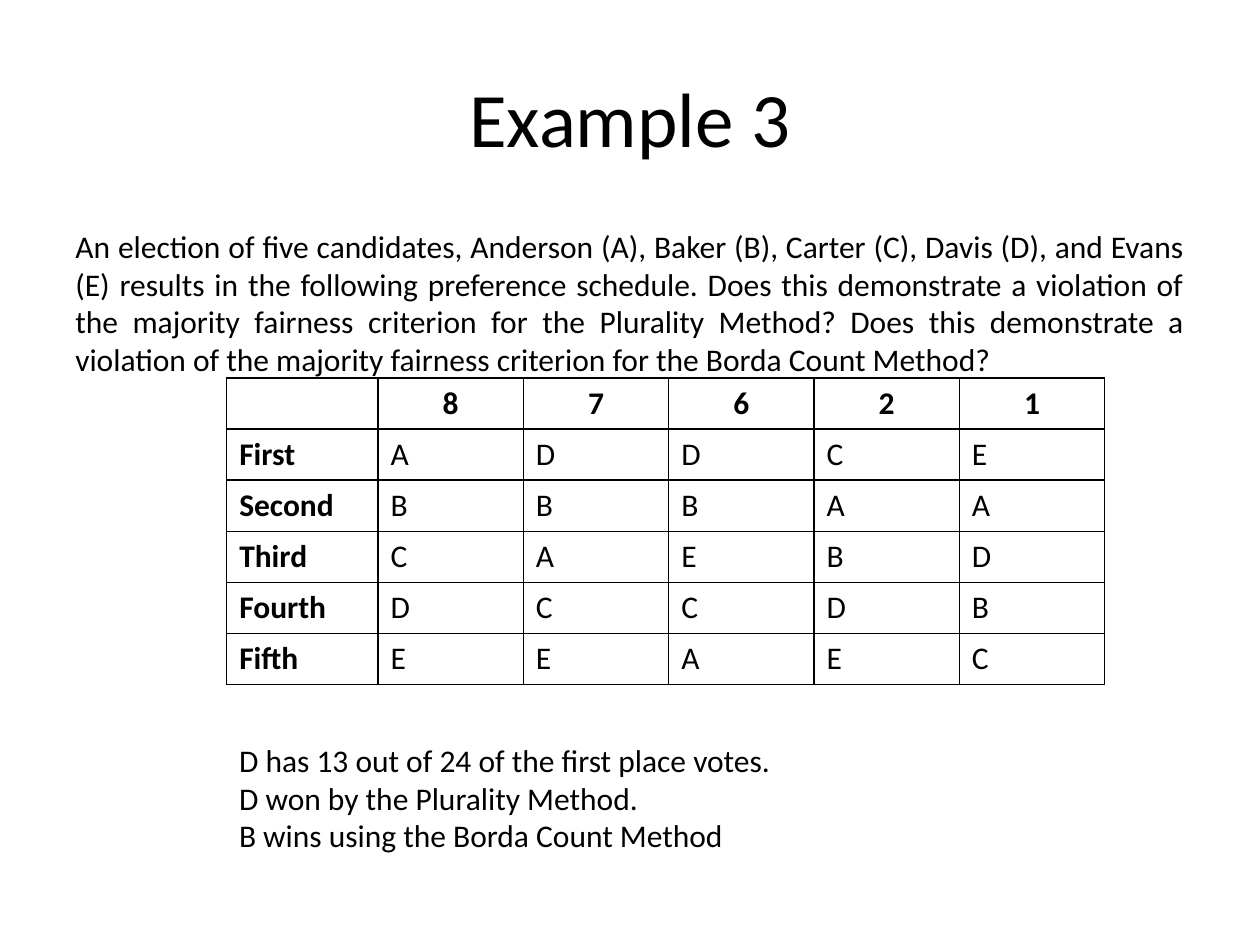
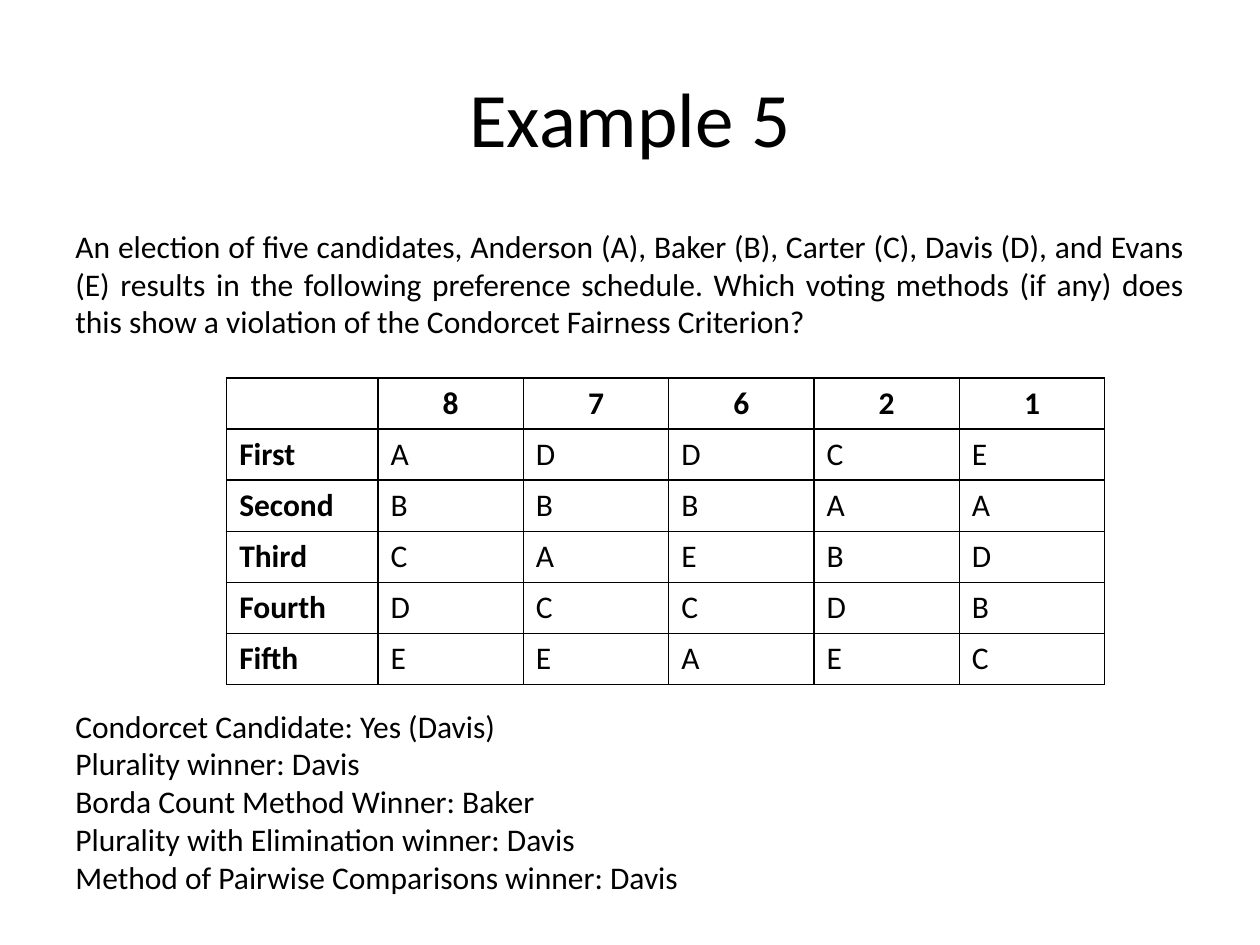
import lxml.etree
import pptx
import pptx.dml.color
import pptx.enum.text
import pptx.oxml.ns
import pptx.util

Cm = pptx.util.Cm
Align = pptx.enum.text.PP_ALIGN
Anchor = pptx.enum.text.MSO_ANCHOR

MARGIN = 1.27
CONTENT_WIDTH = 22.86
BOX_HEIGHT = 3.18
TABLE_LEFT = 4.57
LABEL_WIDTH, VOTE_WIDTH, ROW_HEIGHT = 3.05, 2.93, 1.03

INTRODUCTION = (
    "An election of five candidates, Anderson (A), Baker (B), Carter (C), Davis (D), "
    "and Evans (E) results in the following preference schedule. "
)
VOTES = ["8", "7", "6", "2", "1"]
RANKINGS = {
    "First": "ADDCE",
    "Second": "BBBAA",
    "Third": "CAEBD",
    "Fourth": "DCCDB",
    "Fifth": "EEAEC",
}


def color(value):
    return pptx.dml.color.RGBColor.from_string(value)


class ExampleDeck:
    """Builds the worked election examples in one shared style."""

    font = "Calibri"
    ink = "000000"
    body_size = 18
    title_size = 44

    def __init__(self):
        self.presentation = pptx.Presentation()
        self.presentation.slide_width = Cm(25.4)
        self.presentation.slide_height = Cm(19.05)
        self.slide = None

    def add_slide(self):
        self.slide = self.presentation.slides.add_slide(self.presentation.slide_layouts[6])

    def format_text(self, text_frame, size, align=Align.LEFT, bold=False):
        for paragraph in text_frame.paragraphs:
            paragraph.alignment = align
            for run in paragraph.runs:
                run.font.name = self.font
                run.font.size = pptx.util.Pt(size)
                run.font.bold = bold
                run.font.color.rgb = color(self.ink)

    def text_box(self, text, left, top, width, height, size=body_size, align=Align.LEFT):
        shape = self.slide.shapes.add_textbox(Cm(left), Cm(top), Cm(width), Cm(height))
        text_frame = shape.text_frame
        text_frame.word_wrap = True
        text_frame.text = text
        self.format_text(text_frame, size, align)
        return text_frame

    def title(self, text):
        text_frame = self.text_box(
            text, MARGIN, 0.76, CONTENT_WIDTH, BOX_HEIGHT, self.title_size, Align.CENTER
        )
        text_frame.vertical_anchor = Anchor.MIDDLE

    def question(self, text):
        self.text_box(text, MARGIN, 4.45, CONTENT_WIDTH, BOX_HEIGHT, align=Align.JUSTIFY)

    def answers(self, lines, left, top, width, height):
        text_frame = self.text_box("\n".join(lines), left, top, width, height)
        text_frame.word_wrap = False
        text_frame.auto_size = pptx.enum.text.MSO_AUTO_SIZE.SHAPE_TO_FIT_TEXT

    def border(self, cell):
        qn = pptx.oxml.ns.qn
        properties = cell._tc.get_or_add_tcPr()
        for side in ("a:lnL", "a:lnR", "a:lnT", "a:lnB"):
            line = lxml.etree.SubElement(properties, qn(side), w=str(pptx.util.Pt(1)))
            fill = lxml.etree.SubElement(line, qn("a:solidFill"))
            lxml.etree.SubElement(fill, qn("a:srgbClr"), val=self.ink)

    def preference_schedule(self):
        rows = [["", *VOTES]] + [[place, *ranking] for place, ranking in RANKINGS.items()]
        widths = [LABEL_WIDTH] + [VOTE_WIDTH] * len(VOTES)
        table = self.slide.shapes.add_table(
            len(rows), len(widths), Cm(TABLE_LEFT), Cm(7.62),
            Cm(sum(widths)), Cm(ROW_HEIGHT * len(rows)),
        ).table
        table.first_row = table.horz_banding = False
        for column, width in zip(table.columns, widths):
            column.width = Cm(width)
        for row_index, row in enumerate(rows):
            table.rows[row_index].height = Cm(ROW_HEIGHT)
            for column_index, text in enumerate(row):
                cell = table.cell(row_index, column_index)
                cell.text_frame.text = text
                header = row_index == 0
                self.format_text(
                    cell.text_frame, self.body_size,
                    Align.CENTER if header else Align.LEFT,
                    bold=header or column_index == 0,
                )
                self.border(cell)
                cell.fill.background()

    def example(self, number, question, answers, answer_box):
        self.add_slide()
        self.title(f"Example {number}")
        self.question(INTRODUCTION + question)
        self.preference_schedule()
        self.answers(answers, *answer_box)


def main():
    deck = ExampleDeck()
    deck.example(
        3,
        "Does this demonstrate a violation of the majority fairness criterion for the "
        "Plurality Method? Does this demonstrate a violation of the majority fairness "
        "criterion for the Borda Count Method?",
        [
            "D has 13 out of 24 of the first place votes.",
            "D won by the Plurality Method.",
            "B wins using the Borda Count Method",
        ],
        (TABLE_LEFT, 14.81, 11.35, 2.57),
    )
    deck.example(
        5,
        "Which voting methods (if any) does this show a violation of the Condorcet "
        "Fairness Criterion?",
        [
            "Condorcet Candidate: Yes (Davis)",
            "Plurality winner: Davis",
            "Borda Count Method Winner: Baker",
            "Plurality with Elimination winner: Davis",
            "Method of Pairwise Comparisons winner: Davis",
        ],
        (MARGIN, 14.12, 12.83, 4.11),
    )
    deck.presentation.save("out.pptx")


if __name__ == "__main__":
    main()
